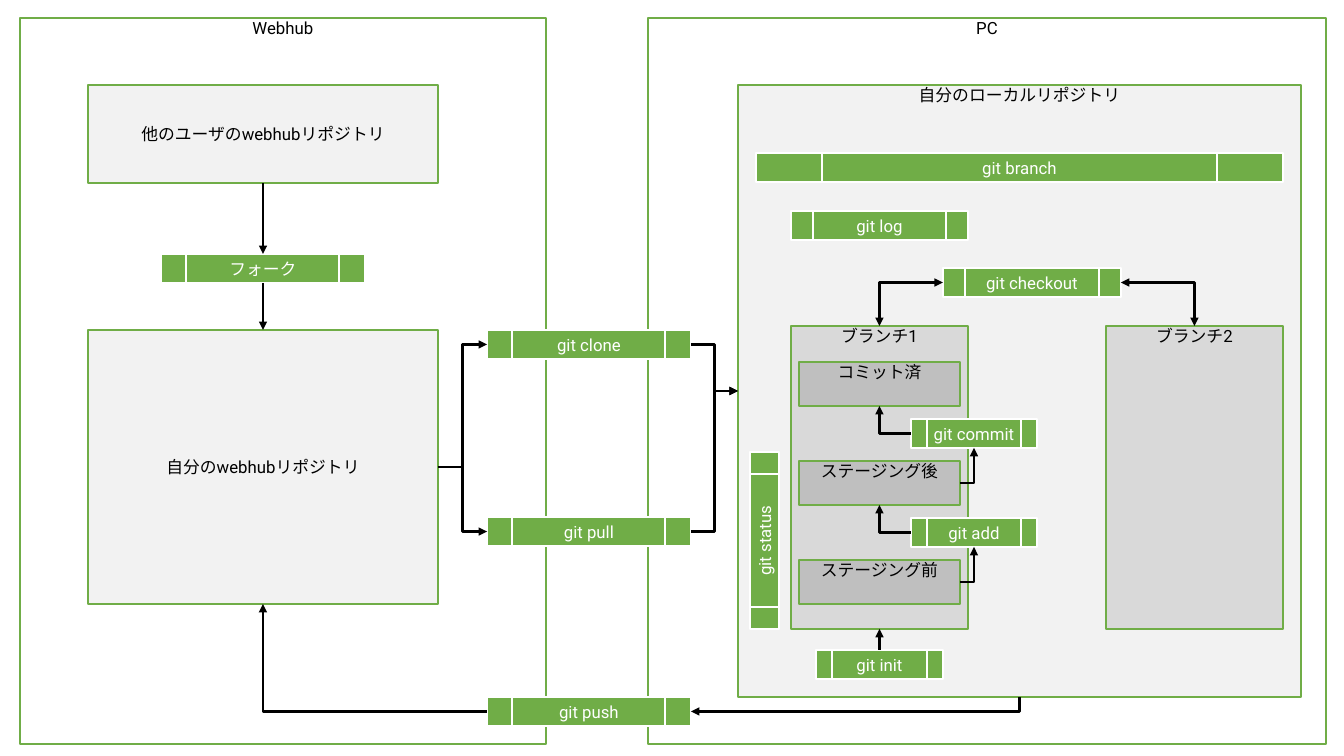
from lxml.etree import SubElement
from pptx import Presentation
from pptx.dml.color import RGBColor
from pptx.enum.shapes import MSO_CONNECTOR, MSO_SHAPE
from pptx.enum.text import MSO_ANCHOR, PP_ALIGN
from pptx.oxml.ns import qn
from pptx.util import Pt

PX = 914400 / 100.8
GREEN, WHITE, BLACK = "70AD47", "FFFFFF", "000000"
PALE, LIGHT, MID = "F2F2F2", "D9D9D9", "BFBFBF"
TOP, LEFT, BOTTOM, RIGHT = range(4)
STAGE_TOP, STAGE_STEP, COMMAND_H = 362, 99, 29

BOXES = [
    ("webhub", "Webhub", 20, 18, 526, 726, None, MSO_ANCHOR.TOP),
    ("pc", "PC", 648, 18, 678, 726, None, MSO_ANCHOR.TOP),
    ("local", "自分のローカルリポジトリ", 738, 85, 563, 612, PALE, MSO_ANCHOR.TOP),
    ("other", "他のユーザのwebhubリポジトリ", 88, 85, 350, 98, PALE, MSO_ANCHOR.MIDDLE),
    ("mine", "自分のwebhubリポジトリ", 88, 330, 350, 274, PALE, MSO_ANCHOR.MIDDLE),
    ("branch1", "ブランチ1", 791, 326, 177, 303, LIGHT, MSO_ANCHOR.TOP),
    ("branch2", "ブランチ2", 1106, 326, 177, 303, LIGHT, MSO_ANCHOR.TOP),
]
STAGES = [("committed", "コミット済"), ("staged", "ステージング後"), ("unstaged", "ステージング前")]
COMMANDS = [
    ("init", "git init", 816, 650, 127, 0),
    ("fork", "フォーク", 161, 254, 204, 0),
    ("clone", "git clone", 487, 330, 204, 0),
    ("pull", "git pull", 487, 517, 204, 0),
    ("push", "git push", 487, 697, 204, 0),
    ("commit", "git commit", 911, 419, 126, 0),
    ("add", "git add", 911, 518, 126, 0),
    ("branch", "git branch", 756, 153, 527, 0),
    ("checkout", "git checkout", 943, 268, 178, 0),
    ("log", "git log", 791, 211, 177, 0),
    ("status", "git status", 676, 526, 177, 270),
]
ARROWS = [
    ("other", BOTTOM, "fork", TOP, ["tailEnd"]),
    ("fork", BOTTOM, "mine", TOP, ["tailEnd"]),
    ("mine", RIGHT, "clone", LEFT, ["tailEnd"]),
    ("mine", RIGHT, "pull", LEFT, ["tailEnd"]),
    ("clone", RIGHT, "local", LEFT, ["tailEnd"]),
    ("pull", RIGHT, "local", LEFT, ["tailEnd"]),
    ("init", TOP, "branch1", BOTTOM, ["tailEnd"]),
    ("add", LEFT, "staged", BOTTOM, ["tailEnd"]),
    ("unstaged", RIGHT, "add", BOTTOM, ["tailEnd"]),
    ("staged", RIGHT, "commit", BOTTOM, ["tailEnd"]),
    ("commit", LEFT, "committed", BOTTOM, ["tailEnd"]),
    ("checkout", LEFT, "branch1", TOP, ["headEnd", "tailEnd"]),
    ("checkout", RIGHT, "branch2", TOP, ["headEnd", "tailEnd"]),
    ("push", RIGHT, "local", BOTTOM, ["headEnd"]),
    ("push", LEFT, "mine", BOTTOM, ["tailEnd"]),
]


def px(n):
    return round(n * PX)


def rgb(h):
    return RGBColor.from_string(h)


def style(obj, values):
    for name, value in values.items():
        setattr(obj, name, value)


def add_box(kind, text, x, y, w, h, fill, line, width, color, anchor):
    sp = s.shapes.add_shape(kind, px(x), px(y), px(w), px(h))
    sp.shadow.inherit = False
    if fill:
        sp.fill.solid()
        sp.fill.fore_color.rgb = rgb(fill)
    else:
        sp.fill.background()
    sp.line.color.rgb = rgb(line)
    sp.line.width = Pt(width)
    tf = sp.text_frame
    style(tf, dict(word_wrap=False, vertical_anchor=anchor, margin_left=px(4),
                   margin_right=px(4), margin_top=0, margin_bottom=0))
    p = tf.paragraphs[0]
    p.alignment = PP_ALIGN.CENTER
    r = p.add_run()
    r.text = text
    style(r.font, dict(name="Roboto", size=Pt(12)))
    r.font.color.rgb = rgb(color)
    return sp


def add_arrow(start, start_side, end, end_side, heads):
    vertical = {TOP, BOTTOM}
    straight = {start_side, end_side} <= vertical
    kind = MSO_CONNECTOR.STRAIGHT if straight else MSO_CONNECTOR.ELBOW
    c = s.shapes.add_connector(kind, 0, 0, 0, 0)
    c.begin_connect(shapes[start], start_side)
    c.end_connect(shapes[end], end_side)
    c.line.color.rgb = rgb(BLACK)
    c.line.width = Pt(2)
    spPr = c._element.spPr
    if not straight and end_side in vertical:
        spPr.find(qn("a:prstGeom")).set("prst", "bentConnector2")
    ln = spPr.find(qn("a:ln"))
    for head in heads:
        SubElement(ln, qn("a:" + head), type="triangle")
    SubElement(spPr, qn("a:effectLst"))


prs = Presentation()
prs.slide_width, prs.slide_height = px(1344), px(756)
s = prs.slides.add_slide(prs.slide_layouts[6])
shapes = {}

for key, text, x, y, w, h, fill, anchor in BOXES:
    shapes[key] = add_box(MSO_SHAPE.RECTANGLE, text, x, y, w, h, fill, GREEN, 1, BLACK, anchor)
for i, (key, text) in enumerate(STAGES):
    shapes[key] = add_box(MSO_SHAPE.RECTANGLE, text, 799, STAGE_TOP + i * STAGE_STEP, 161, 44,
                          MID, GREEN, 1, BLACK, MSO_ANCHOR.TOP)
for key, text, x, y, w, turn in COMMANDS:
    shapes[key] = add_box(MSO_SHAPE.FLOWCHART_PREDEFINED_PROCESS, text, x, y, w, COMMAND_H,
                          GREEN, WHITE, 1.5, WHITE, MSO_ANCHOR.MIDDLE)
    shapes[key].rotation = turn
for arrow in ARROWS:
    add_arrow(*arrow)

prs.save("out.pptx")
